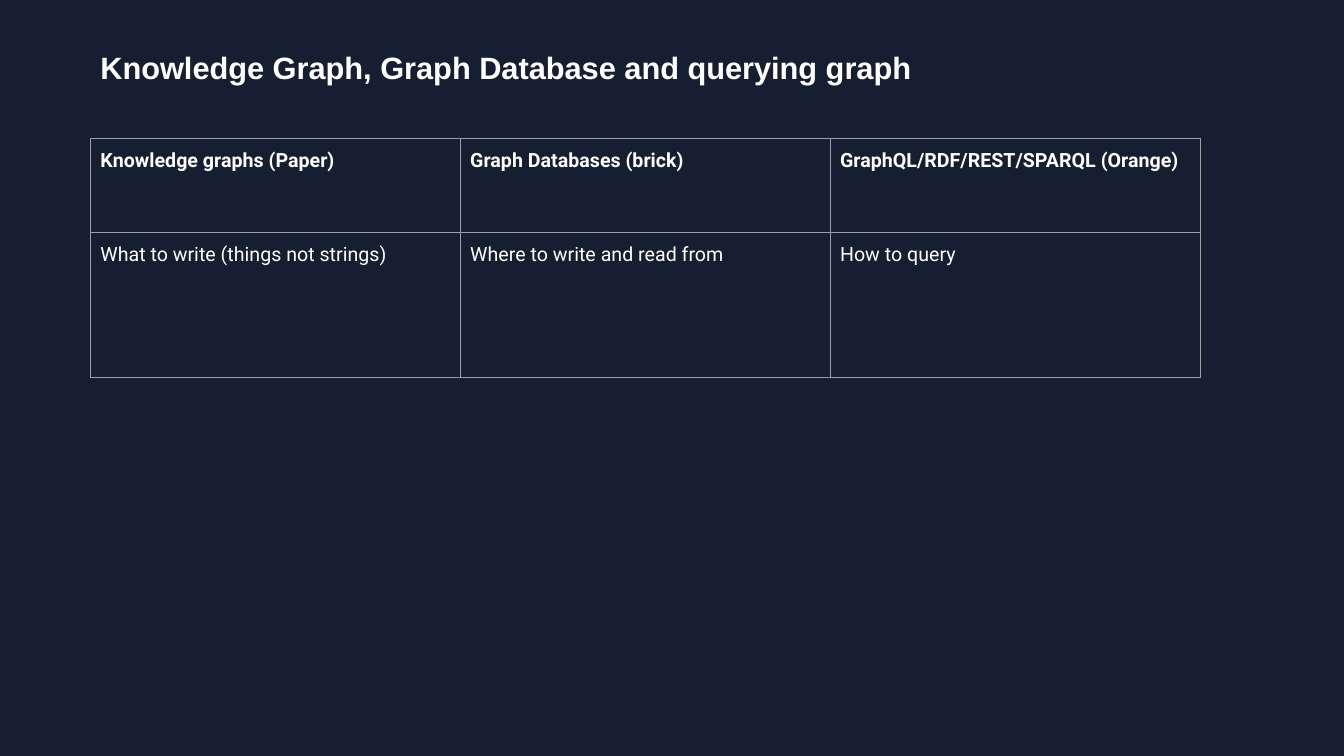
"""Build a slide that compares knowledge graphs, graph databases and graph queries."""
from lxml import etree
from pptx import Presentation
from pptx.dml.color import RGBColor
from pptx.enum import text
from pptx.oxml import ns
from pptx.util import Cm, Pt

TITLE = "Knowledge Graph, Graph Database and querying graph"
ROWS = [
    ("Knowledge graphs (Paper)", "Graph Databases (brick)", "GraphQL/RDF/REST/SPARQL (Orange)"),
    ("What to write (things not strings)", "Where to write and read from", "How to query"),
]
ROW_HEIGHTS = [Cm(2.37), Cm(3.64)]
COLUMN_WIDTH = Cm(9.32)
LEFT, TITLE_TOP, TABLE_TOP = Cm(2.28), Cm(0.97), Cm(3.5)
TITLE_WIDTH, TITLE_HEIGHT = Cm(22.43), Cm(2)
INSET = Cm(0.25)

NAVY = RGBColor(0x16, 0x1F, 0x31)
WHITE = RGBColor(0xFF, 0xFF, 0xFF)
GREY = RGBColor(0x9E, 0x9E, 0x9E)

MARGINS = dict.fromkeys(("margin_left", "margin_right", "margin_top", "margin_bottom"), INSET)
TITLE_FORMAT = {"name": "Arial", "size": Pt(22), "bold": True}
HEADER_FORMAT = {"name": "Roboto", "size": Pt(14), "bold": True}
BODY_FORMAT = {**HEADER_FORMAT, "bold": False}


def apply(target, values):
    """Set every attribute in a dict of format values."""
    for name, value in values.items():
        setattr(target, name, value)


def write(frame, words, font_format):
    """Put left-aligned white text in a text frame."""
    para = frame.paragraphs[0]
    para.alignment = text.PP_ALIGN.LEFT
    span = para.add_run()
    span.text = words
    apply(span.font, font_format)
    span.font.color.rgb = WHITE


def add_borders(cell):
    """Draw a thin grey line on all four sides of a cell."""
    properties = cell._tc.get_or_add_tcPr()
    for side in ("a:lnL", "a:lnR", "a:lnT", "a:lnB"):
        line = etree.SubElement(properties, ns.qn(side), w=str(Pt(0.75)))
        fill = etree.SubElement(line, ns.qn("a:solidFill"))
        etree.SubElement(fill, ns.qn("a:srgbClr"), val=str(GREY))


def add_title(page):
    """Place and format the slide title."""
    title = page.shapes.title
    apply(title, {"left": LEFT, "top": TITLE_TOP, "width": TITLE_WIDTH, "height": TITLE_HEIGHT})
    apply(title.text_frame, {
        **MARGINS,
        "word_wrap": True,
        "auto_size": text.MSO_AUTO_SIZE.NONE,
        "vertical_anchor": text.MSO_ANCHOR.TOP,
    })
    write(title.text_frame, TITLE, TITLE_FORMAT)


def add_comparison(page):
    """Add the comparison table with its header row."""
    columns = len(ROWS[0])
    table = page.shapes.add_table(
        len(ROWS), columns, LEFT, TABLE_TOP, COLUMN_WIDTH * columns, sum(ROW_HEIGHTS)
    ).table
    apply(table, {"first_row": True, "horz_banding": False})
    for column in table.columns:
        column.width = COLUMN_WIDTH
    for row, height, labels, font_format in zip(
        table.rows, ROW_HEIGHTS, ROWS, (HEADER_FORMAT, BODY_FORMAT)
    ):
        row.height = height
        for cell, label in zip(row.cells, labels):
            apply(cell, MARGINS)
            add_borders(cell)
            cell.fill.background()
            write(cell.text_frame, label, font_format)


def main():
    """Create the deck and save it."""
    deck = Presentation()
    apply(deck, {"slide_width": Cm(33.87), "slide_height": Cm(19.05)})
    page = deck.slides.add_slide(deck.slide_layouts[5])
    page.background.fill.solid()
    page.background.fill.fore_color.rgb = NAVY
    add_comparison(page)
    add_title(page)
    deck.save("out.pptx")


if __name__ == "__main__":
    main()
